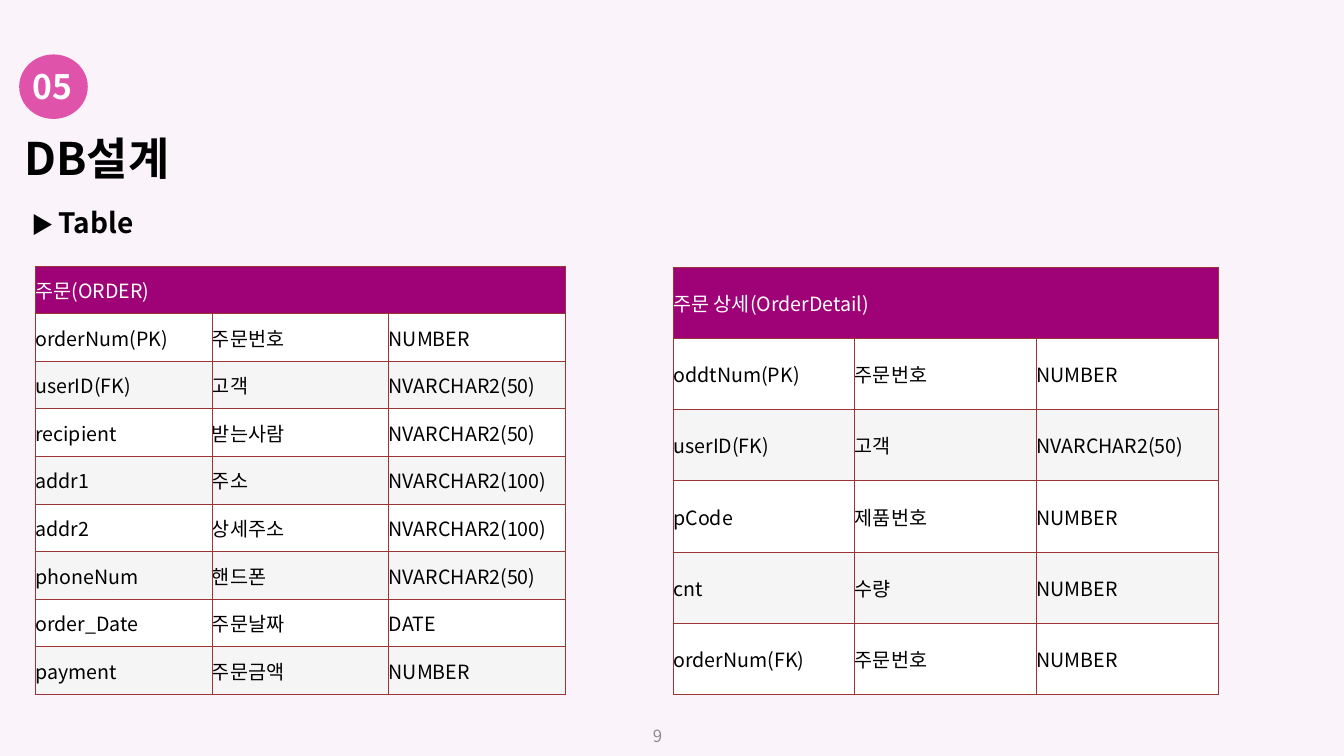
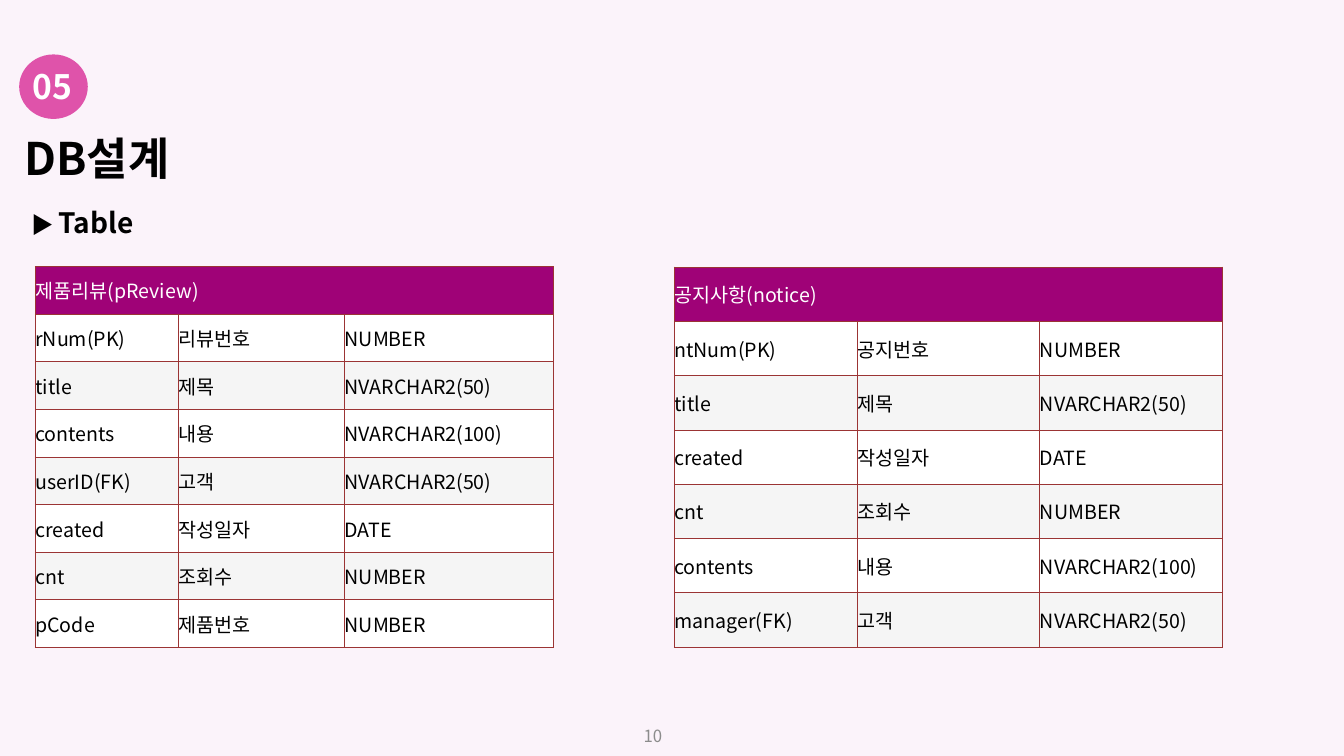
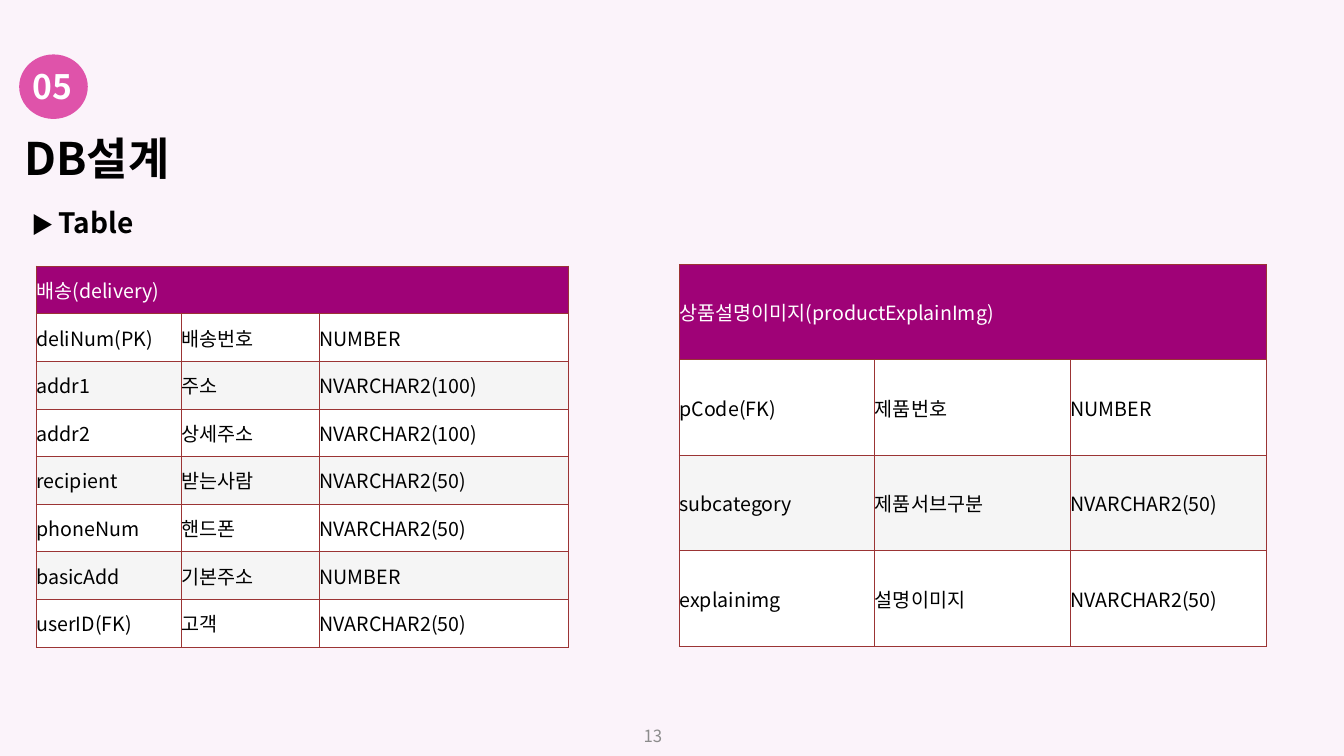
from lxml import etree
from pptx import Presentation
from pptx.dml import color
from pptx.enum import shapes, text
from pptx.oxml import ns
from pptx.util import Pt

FONT = "Noto Sans CJK KR"
BLACK, WHITE, GREY = "000000", "FFFFFF", "8C8C8C"
BACKDROP, BADGE, HEADER, STRIPE, BORDER = "FBF3FA", "DF53AA", "9F0277", "F5F5F5", "9B3434"
SHORT, LONG = "NVARCHAR2(50)", "NVARCHAR2(100)"

TITLE_BOX = (10.1, 10.1, 463.7, 126)
BADGE_BOX = (13.7, 38.9, 49, 46.1)
NUMBER_BOX = (264.2, 511.2, 216, 28.8)

PAGES = [
    {
        "number": "9",
        "body": (15.1, 138.2, 482.4, 59.8),
        "tables": [
            {
                "box": (25.2, 190.1, 378.7, 306),
                "shares": (1, 1, 1),
                "heading": "주문(ORDER)",
                "fields": [
                    ("orderNum(PK)", "주문번호", "NUMBER"),
                    ("userID(FK)", "고객", SHORT),
                    ("recipient", "받는사람", SHORT),
                    ("addr1", "주소", LONG),
                    ("addr2", "상세주소", LONG),
                    ("phoneNum", "핸드폰", SHORT),
                    ("order_Date", "주문날짜", "DATE"),
                    ("payment", "주문금액", "NUMBER"),
                ],
            },
            {
                "box": (481, 190.8, 389, 305.3),
                "shares": (1, 1, 1),
                "heading": "주문 상세(OrderDetail)",
                "fields": [
                    ("oddtNum(PK)", "주문번호", "NUMBER"),
                    ("userID(FK)", "고객", SHORT),
                    ("pCode", "제품번호", "NUMBER"),
                    ("cnt", "수량", "NUMBER"),
                    ("orderNum(FK)", "주문번호", "NUMBER"),
                ],
            },
        ],
    },
    {
        "number": "10",
        "body": (15.1, 138.2, 485.3, 162),
        "tables": [
            {
                "box": (25.2, 190.4, 370.1, 272.2),
                "shares": (1.42, 1.65, 2.07),
                "heading": "제품리뷰(pReview)",
                "fields": [
                    ("rNum(PK)", "리뷰번호", "NUMBER"),
                    ("title", "제목", SHORT),
                    ("contents", "내용", LONG),
                    ("userID(FK)", "고객", SHORT),
                    ("created", "작성일자", "DATE"),
                    ("cnt", "조회수", "NUMBER"),
                    ("pCode", "제품번호", "NUMBER"),
                ],
            },
            {
                "box": (481.7, 190.8, 391.7, 271.6),
                "shares": (1, 1, 1),
                "heading": "공지사항(notice)",
                "fields": [
                    ("ntNum(PK)", "공지번호", "NUMBER"),
                    ("title", "제목", SHORT),
                    ("created", "작성일자", "DATE"),
                    ("cnt", "조회수", "NUMBER"),
                    ("contents", "내용", LONG),
                    ("manager(FK)", "고객", SHORT),
                ],
            },
        ],
    },
    {
        "number": "13",
        "body": (15.1, 138.2, 485.3, 162),
        "tables": [
            {
                "box": (25.9, 190.1, 380.2, 272.2),
                "shares": (1.44, 1.37, 2.47),
                "heading": "배송(delivery)",
                "fields": [
                    ("deliNum(PK)", "배송번호", "NUMBER"),
                    ("addr1", "주소", LONG),
                    ("addr2", "상세주소", LONG),
                    ("recipient", "받는사람", SHORT),
                    ("phoneNum", "핸드폰", SHORT),
                    ("basicAdd", "기본주소", "NUMBER"),
                    ("userID(FK)", "고객", SHORT),
                ],
            },
            {
                "box": (485.3, 188.9, 419, 272.9),
                "shares": (1, 1, 1),
                "heading": "상품설명이미지(productExplainImg)",
                "fields": [
                    ("pCode(FK)", "제품번호", "NUMBER"),
                    ("subcategory", "제품서브구분", SHORT),
                    ("explainimg", "설명이미지", SHORT),
                ],
            },
        ],
    },
]


def rgb(value):
    """Turn a hex string into a colour."""
    return color.RGBColor.from_string(value)


def paint(fill, value):
    """Make a fill solid in the given colour."""
    fill.solid()
    fill.fore_color.rgb = rgb(value)


def points(box):
    """Convert a box in points to lengths."""
    return [Pt(length) for length in box]


def place(shape, box):
    """Move and size a shape to a box."""
    shape.left, shape.top, shape.width, shape.height = points(box)


def write(para, words, size=14, value=BLACK, bold=False, align=text.PP_ALIGN.LEFT, spacing=1.0):
    """Add a formatted span of text to a paragraph."""
    para.alignment = align
    para.line_spacing = spacing
    para.space_before = Pt(0)
    span = para.add_run()
    span.text = words
    span.font.name = FONT
    span.font.size = Pt(size)
    span.font.bold = bold
    span.font.color.rgb = rgb(value)
    etree.SubElement(span.font._element, ns.qn("a:ea"), typeface=FONT)


def set_frame(frame, anchor, wrap=True, inset=None):
    """Set the anchor, wrapping and insets of a text frame."""
    frame.auto_size = text.MSO_AUTO_SIZE.NONE
    frame.word_wrap = wrap
    frame.vertical_anchor = anchor
    if inset is not None:
        clear_margins(frame, inset)


def clear_margins(holder, inset=0):
    """Give a frame or cell the same margin on each side."""
    holder.margin_left = holder.margin_right = Pt(inset)
    holder.margin_top = holder.margin_bottom = Pt(inset)


def add_badge(page, box, words):
    """Draw the section number in a round badge."""
    left, top, width, height = box
    group = page.shapes.add_group_shape()
    circle = group.shapes.add_shape(shapes.MSO_SHAPE.OVAL, *points(box))
    circle.shadow.inherit = False
    paint(circle.fill, BADGE)
    circle.line.fill.background()
    label = group.shapes.add_textbox(*points((left + 6.5, top + 7.9, width - 14.4, height - 10.8)))
    set_frame(label.text_frame, text.MSO_ANCHOR.TOP, wrap=False, inset=0)
    label.text_frame.auto_size = text.MSO_AUTO_SIZE.SHAPE_TO_FIT_TEXT
    write(label.text_frame.paragraphs[0], words, size=24, value=WHITE, bold=True,
          align=text.PP_ALIGN.CENTER)


def fill_title(page, words):
    """Write the slide title."""
    frame = page.shapes.title.text_frame
    set_frame(frame, text.MSO_ANCHOR.BOTTOM)
    write(frame.paragraphs[0], words, size=32, bold=True, spacing=0.9)


def fill_body(page, box, words):
    """Write the subtitle behind its arrow mark."""
    body = page.placeholders[1]
    place(body, box)
    set_frame(body.text_frame, text.MSO_ANCHOR.TOP)
    para = body.text_frame.paragraphs[0]
    properties = para._p.get_or_add_pPr()
    properties.set("marL", "0")
    properties.set("indent", "0")
    etree.SubElement(properties, ns.qn("a:buNone"))
    write(para, "▶ ", size=16, spacing=1.2)
    write(para, words, size=20, bold=True, spacing=1.2)


def add_number(page, box, words):
    """Write the page number."""
    frame = page.shapes.add_textbox(*points(box)).text_frame
    set_frame(frame, text.MSO_ANCHOR.MIDDLE)
    write(frame.paragraphs[0], words, size=12, value=GREY, align=text.PP_ALIGN.RIGHT)


def format_cell(cell, fill):
    """Give a cell its borders, fill, anchor and margins."""
    properties = cell._tc.get_or_add_tcPr()
    for side in ("lnL", "lnR", "lnT", "lnB"):
        line = etree.SubElement(properties, ns.qn("a:" + side), w=str(Pt(0.75)))
        solid = etree.SubElement(line, ns.qn("a:solidFill"))
        etree.SubElement(solid, ns.qn("a:srgbClr"), val=BORDER)
    paint(cell.fill, fill)
    cell.vertical_anchor = text.MSO_ANCHOR.MIDDLE
    clear_margins(cell)


def add_schema(page, box, shares, heading, fields):
    """Draw a table of database fields under a merged heading."""
    rows = [(heading, "", "")] + fields
    table = page.shapes.add_table(len(rows), len(shares), *points(box)).table
    table.horz_banding = False
    for column, share in zip(table.columns, shares):
        column.width = Pt(box[2] * share / sum(shares))
    for index, words in enumerate(rows):
        table.rows[index].height = Pt(box[3] / len(rows))
        fill = HEADER if index == 0 else (STRIPE, WHITE)[index % 2]
        for cell, word in zip(table.rows[index].cells, words):
            format_cell(cell, fill)
            if word:
                write(cell.text_frame.paragraphs[0], word, value=BLACK if index else WHITE)
    table.cell(0, 0).merge(table.cell(0, len(shares) - 1))


def add_page(deck, layout, number, body, tables):
    """Build one database design slide."""
    page = deck.slides.add_slide(layout)
    add_badge(page, BADGE_BOX, "05")
    fill_title(page, "DB설계")
    fill_body(page, body, "Table")
    add_number(page, NUMBER_BOX, number)
    for table in tables:
        add_schema(page, **table)


def main():
    """Build and save the deck."""
    deck = Presentation()
    deck.slide_width, deck.slide_height = Pt(960), Pt(540)
    paint(deck.slide_master.background.fill, BACKDROP)
    layout = deck.slide_layouts[1]
    place(layout.placeholders[0], TITLE_BOX)
    for page in PAGES:
        add_page(deck, layout, **page)
    deck.save("out.pptx")


if __name__ == "__main__":
    main()
